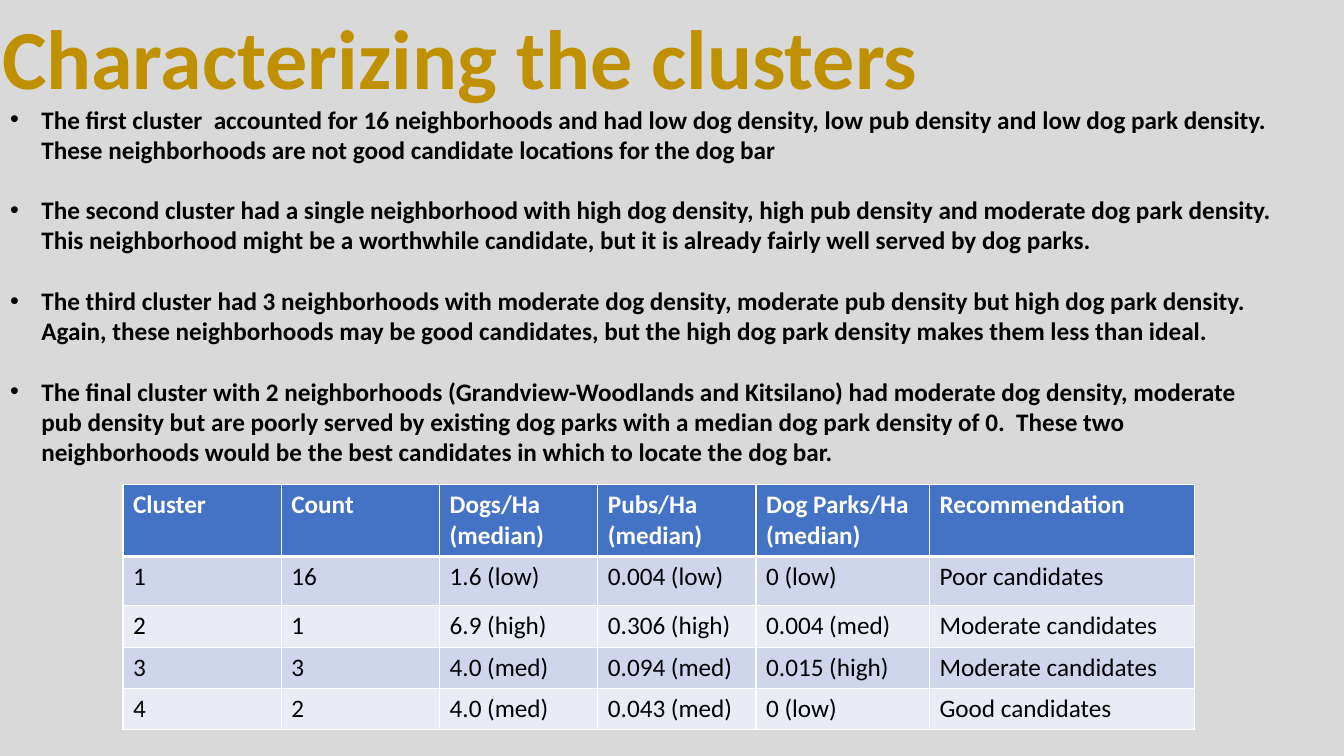
"""Build the slide that characterizes the neighborhood clusters."""
from lxml.etree import SubElement
from pptx import Presentation
from pptx.dml.color import RGBColor
from pptx.enum.text import MSO_ANCHOR, MSO_AUTO_SIZE, PP_ALIGN
from pptx.oxml.ns import qn
from pptx.util import Inches, Pt

BACKGROUND = RGBColor(0xD9, 0xD9, 0xD9)
GOLD = RGBColor(0xBF, 0x90, 0x00)
BLACK = RGBColor(0x00, 0x00, 0x00)
WHITE = RGBColor(0xFF, 0xFF, 0xFF)
HEADER_BLUE = RGBColor(0x44, 0x72, 0xC4)
BANDS = [RGBColor(0xE9, 0xEB, 0xF5), RGBColor(0xCF, 0xD5, 0xEA)]

FINDINGS = [
    "The first cluster  accounted for 16 neighborhoods and had low dog density, low pub density "
    "and low dog park density.  These neighborhoods are not good candidate locations for the dog bar",
    "The second cluster had a single neighborhood with high dog density, high pub density and "
    "moderate dog park density. This neighborhood might be a worthwhile candidate, but it is "
    "already fairly well served by dog parks.",
    "The third cluster had 3 neighborhoods with moderate dog density, moderate pub density but "
    "high dog park density.  Again, these neighborhoods may be good candidates, but the high dog "
    "park density makes them less than ideal.",
    "The final cluster with 2 neighborhoods (Grandview-Woodlands and Kitsilano) had moderate dog "
    "density, moderate pub density but are poorly served by existing dog parks with a median dog "
    "park density of 0.  These two neighborhoods would be the best candidates in which to locate "
    "the dog bar.",
]
CLUSTERS = [
    ["Cluster", "Count", "Dogs/Ha (median)", "Pubs/Ha\n(median)", "Dog Parks/Ha\n(median)",
     "Recommendation"],
    ["1", "16", "1.6 (low)", "0.004 (low)", "0 (low)", "Poor candidates"],
    ["2", "1", "6.9 (high)", "0.306 (high)", "0.004 (med)", "Moderate candidates"],
    ["3", "3", "4.0 (med)", "0.094 (med)", "0.015 (high)", "Moderate candidates"],
    ["4", "2", "4.0 (med)", "0.043 (med)", "0 (low)", "Good candidates"],
]
COLUMN_WIDTHS = [1.57, 1.57, 1.57, 1.57, 1.72, 2.63]
ROW_HEIGHTS = [0.69, 0.49, 0.41, 0.41, 0.4]


def add_text(paragraph, text, size, color, bold):
    run = paragraph.add_run()
    run.text = text
    run.font.name = "Calibri"
    run.font.size = Pt(size)
    run.font.bold = bold
    run.font.color.rgb = color


def add_border(cell, side, width):
    line = SubElement(cell._tc.get_or_add_tcPr(), qn(f"a:ln{side}"), w=str(Pt(width)))
    fill = SubElement(line, qn("a:solidFill"))
    SubElement(fill, qn("a:srgbClr"), val=str(WHITE))


deck = Presentation()
deck.slide_width = Inches(13.33)
deck.slide_height = Inches(7.5)
slide = deck.slides.add_slide(deck.slide_layouts[1])
slide.background.fill.solid()
slide.background.fill.fore_color.rgb = BACKGROUND

heading = slide.shapes.title
findings = slide.placeholders[1]
for holder, left, top, width, height in [
    (heading, -0.08, 0, 13.41, 1.11),
    (findings, 0, 0.98, 12.75, 4.04),
]:
    holder.left, holder.top = Inches(left), Inches(top)
    holder.width, holder.height = Inches(width), Inches(height)
    holder.text_frame.word_wrap = True
    holder.text_frame.auto_size = MSO_AUTO_SIZE.NONE
    holder.text_frame.vertical_anchor = MSO_ANCHOR.TOP

title_line = heading.text_frame.paragraphs[0]
title_line.alignment = PP_ALIGN.LEFT
add_text(title_line, "Characterizing the clusters", 60, GOLD, True)

for index, finding in enumerate(FINDINGS):
    frame = findings.text_frame
    paragraph = frame.add_paragraph() if index else frame.paragraphs[0]
    properties = paragraph._p.get_or_add_pPr()
    properties.set("marL", str(Inches(0.31)))
    properties.set("indent", str(Inches(-0.31)))
    SubElement(properties, qn("a:buFont"), typeface="Arial")
    SubElement(properties, qn("a:buChar"), char="•")
    paragraph.line_spacing = 1.0
    paragraph.space_before = Pt(21.6 if index else 0)
    add_text(paragraph, finding, 18, BLACK, True)

clusters = slide.shapes.add_table(
    len(CLUSTERS), len(COLUMN_WIDTHS), Inches(1.22), Inches(4.81), Inches(10.63), Inches(2.4)
).table
for column, width in zip(clusters.columns, COLUMN_WIDTHS):
    column.width = Inches(width)
for row, height in zip(clusters.rows, ROW_HEIGHTS):
    row.height = Inches(height)

for row_index, values in enumerate(CLUSTERS):
    is_header = row_index == 0
    for column_index, value in enumerate(values):
        cell = clusters.cell(row_index, column_index)
        for side in "LRTB":
            below_header = (is_header and side == "B") or (row_index == 1 and side == "T")
            add_border(cell, side, 3 if below_header else 1)
        cell.fill.solid()
        cell.fill.fore_color.rgb = HEADER_BLUE if is_header else BANDS[row_index % 2]
        for line_index, text in enumerate(value.split("\n")):
            frame = cell.text_frame
            paragraph = frame.add_paragraph() if line_index else frame.paragraphs[0]
            add_text(paragraph, text, 18, WHITE if is_header else BLACK, is_header)

deck.save("out.pptx")
